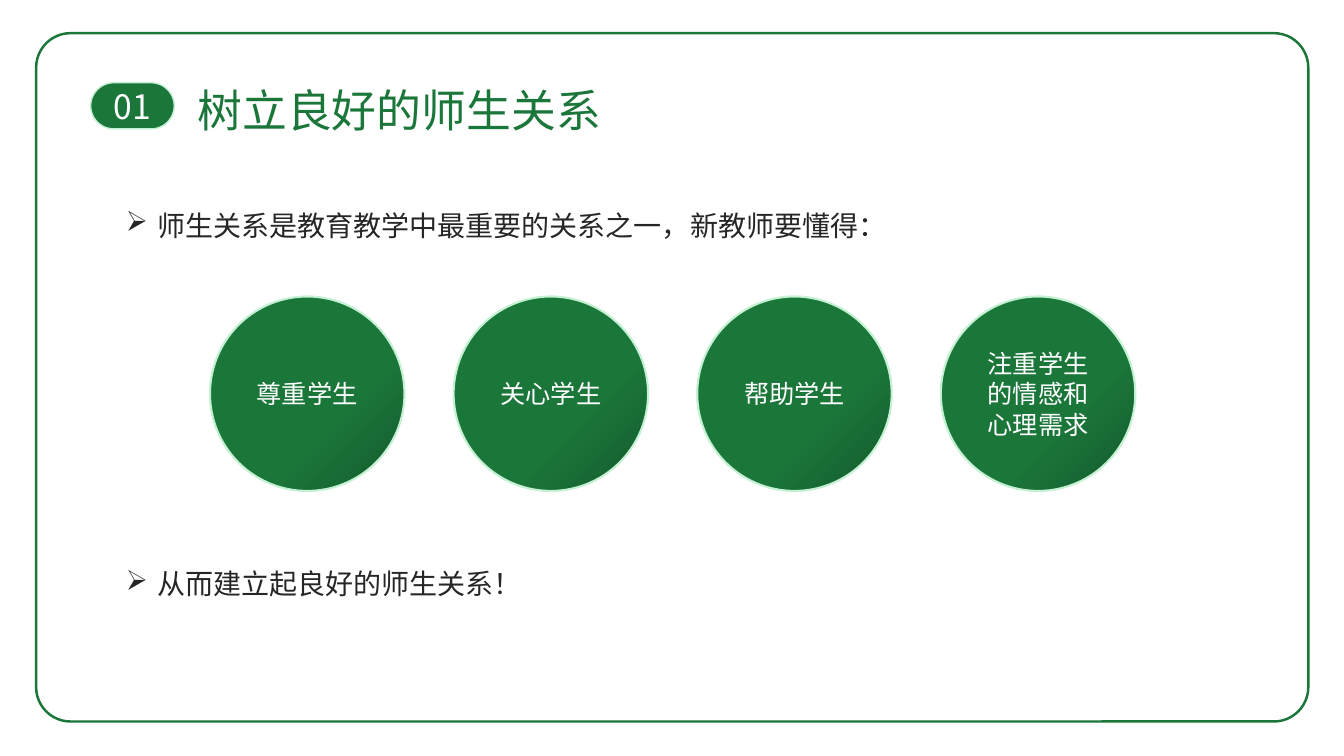
from dataclasses import dataclass

from lxml.etree import SubElement
from pptx import Presentation
from pptx.dml.color import RGBColor
from pptx.enum.shapes import MSO_SHAPE
from pptx.enum.text import MSO_ANCHOR, MSO_AUTO_SIZE, PP_ALIGN
from pptx.oxml import parse_xml
from pptx.oxml.ns import nsdecls, qn
from pptx.util import Inches, Pt

COLUMNS, ROWS = 32, 18


@dataclass(frozen=True)
class Theme:
    font: str = "Noto Sans CJK SC"
    green: str = "1B763A"
    dark_green: str = "14592B"
    pale_green: str = "C4F1D3"
    white: str = "FFFFFF"
    ink: str = "262626"
    title_size: int = 32
    badge_size: int = 24
    body_size: int = 20
    circle_size: int = 18


class SlideBuilder:
    def __init__(self, presentation, theme):
        self.theme = theme
        self.column = presentation.slide_width / COLUMNS
        self.row = presentation.slide_height / ROWS
        self.slide = presentation.slides.add_slide(presentation.slide_layouts[5])

    def box(self, left, top, width, height):
        """Turn grid columns and rows into slide lengths."""
        return (round(left * self.column), round(top * self.row),
                round(width * self.column), round(height * self.row))

    def set_text(self, shape, text, size, color, alignment=PP_ALIGN.LEFT,
                 anchor=MSO_ANCHOR.TOP):
        frame = shape.text_frame
        frame.word_wrap = True
        frame.vertical_anchor = anchor
        paragraph = frame.paragraphs[0]
        paragraph.text = text
        paragraph.alignment = alignment
        paragraph.font.size = Pt(size)
        paragraph.font.color.rgb = RGBColor.from_string(color)
        paragraph.font.name = self.theme.font
        for latin in shape.element.iter(qn("a:latin")):
            latin.addnext(parse_xml(
                f'<a:ea {nsdecls("a")} typeface="{self.theme.font}"/>'))
        return paragraph

    def title(self, text, *place):
        shape = self.slide.shapes.title
        shape.left, shape.top, shape.width, shape.height = self.box(*place)
        self.set_text(shape, text, self.theme.title_size, self.theme.green)
        shape.text_frame.auto_size = MSO_AUTO_SIZE.SHAPE_TO_FIT_TEXT

    def outlined_shape(self, kind, place, fill, line, line_width):
        shape = self.slide.shapes.add_shape(kind, *self.box(*place))
        shape.shadow.inherit = False
        shape.fill.solid()
        shape.fill.fore_color.rgb = RGBColor.from_string(fill)
        shape.line.color.rgb = RGBColor.from_string(line)
        shape.line.width = Pt(line_width)
        return shape

    def border(self, *place):
        """Draw the page border behind the title."""
        theme = self.theme
        shape = self.outlined_shape(MSO_SHAPE.ROUNDED_RECTANGLE, place,
                                    theme.white, theme.green, 1.75)
        shape.adjustments[0] = 0.05
        self.slide.shapes.title.element.addprevious(shape.element)

    def badge(self, text, *place):
        theme = self.theme
        shape = self.outlined_shape(MSO_SHAPE.ROUNDED_RECTANGLE, place,
                                    theme.green, theme.pale_green, 1)
        shape.adjustments[0] = 0.5
        self.set_text(shape, text, theme.badge_size, theme.white,
                      PP_ALIGN.CENTER, MSO_ANCHOR.MIDDLE)

    def circle(self, text, left, top, diameter):
        theme = self.theme
        shape = self.outlined_shape(MSO_SHAPE.OVAL, (left, top, diameter, diameter),
                                    theme.green, theme.pale_green, 1.5)
        self.shade(shape)
        self.set_text(shape, text, theme.circle_size, theme.white,
                      PP_ALIGN.CENTER, MSO_ANCHOR.MIDDLE)

    def shade(self, shape):
        """Replace the solid fill by a radial one that darkens at the lower right."""
        solid = shape.element.spPr.find(qn("a:solidFill"))
        gradient = parse_xml(
            f'<a:gradFill {nsdecls("a")} rotWithShape="1"><a:gsLst>'
            f'<a:gs pos="64000"><a:srgbClr val="{self.theme.green}"/></a:gs>'
            f'<a:gs pos="100000"><a:srgbClr val="{self.theme.dark_green}"/></a:gs>'
            '</a:gsLst><a:path path="circle">'
            '<a:fillToRect r="100000" b="100000"/></a:path></a:gradFill>')
        solid.getparent().replace(solid, gradient)

    def bullet(self, text, *place):
        shape = self.slide.shapes.add_textbox(*self.box(*place))
        paragraph_properties = shape.text_frame.paragraphs[0]._p.get_or_add_pPr()
        indent = Inches(0.31)
        paragraph_properties.set("marL", str(indent))
        paragraph_properties.set("indent", str(-indent))
        SubElement(paragraph_properties, qn("a:buChar"), char="➢")
        paragraph = self.set_text(shape, text, self.theme.body_size, self.theme.ink)
        paragraph.line_spacing = 1.5
        shape.text_frame.auto_size = MSO_AUTO_SIZE.SHAPE_TO_FIT_TEXT


def main():
    presentation = Presentation()
    presentation.slide_width, presentation.slide_height = Inches(13.33), Inches(7.5)
    builder = SlideBuilder(presentation, Theme())

    builder.border(0.86, 0.79, 30.29, 16.39)
    builder.title("树立良好的师生关系", 4.46, 1.85, 10.54, 1.54)
    builder.badge("01", 2.16, 1.97, 1.99, 1.1)

    builder.bullet("师生关系是教育教学中最重要的关系之一，新教师要懂得：",
                   2.76, 4.44, 26.45, 1.34)
    duties = ["尊重学生", "关心学生", "帮助学生", "注重学生的情感和心理需求"]
    for index, duty in enumerate(duties):
        builder.circle(duty, 5 + 5.8 * index, 7.06, 4.63)
    builder.bullet("从而建立起良好的师生关系！", 2.76, 12.98, 26.45, 1.34)

    presentation.save("out.pptx")


if __name__ == "__main__":
    main()
